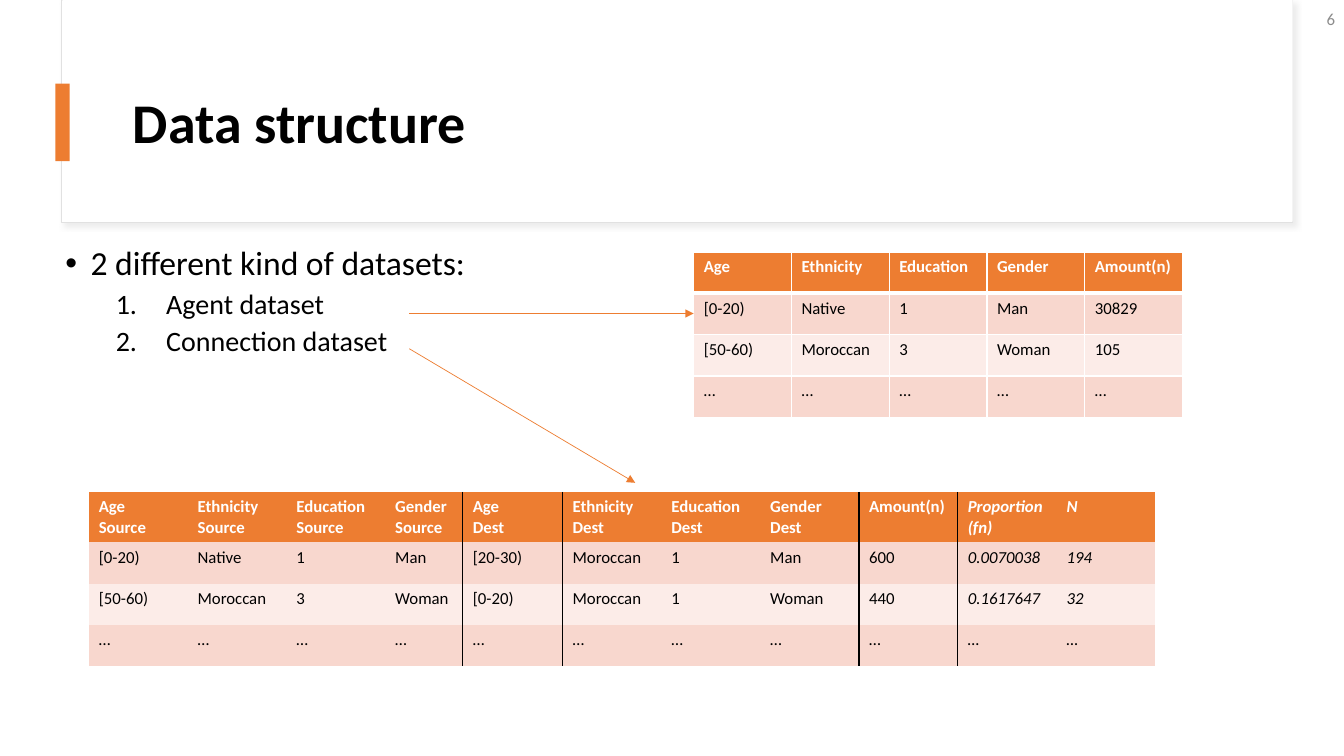
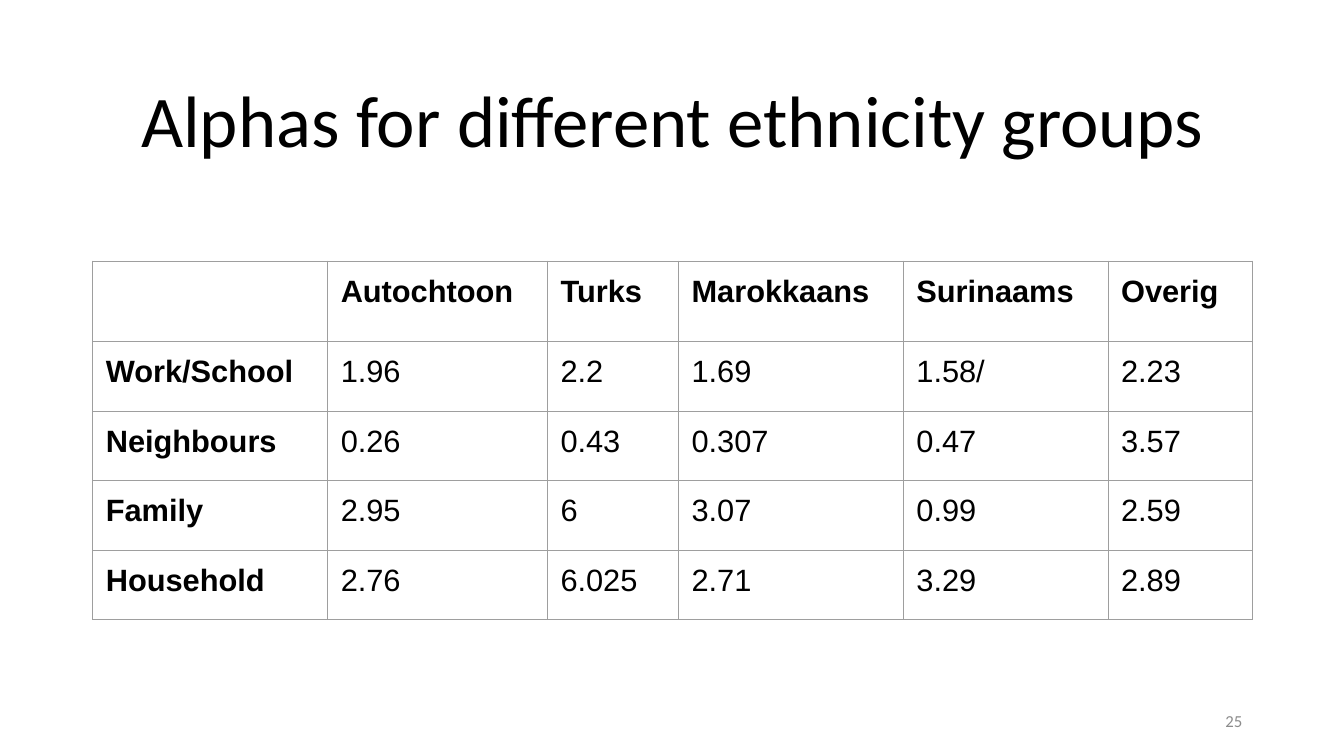
from dataclasses import dataclass

from lxml import etree
from pptx import Presentation
from pptx import util as u
from pptx.dml.color import RGBColor
from pptx.enum import shapes, text
from pptx.oxml import ns

LIST_HEAD = "2 different kind of datasets:"
DATASETS = ["Agent dataset", "Connection dataset"]
AGENTS = [
    ["Age", "Ethnicity", "Education", "Gender", "Amount(n)"],
    ["[0-20)", "Native", "1", "Man", "30829"],
    ["[50-60)", "Moroccan", "3", "Woman", "105"],
    ["…"] * 5,
]
CONNECTIONS = [
    ["Age\nSource", "Ethnicity Source", "Education\nSource", "Gender\nSource",
     "Age\nDest", "Ethnicity Dest", "Education\nDest", "Gender\nDest",
     "Amount(n)", "Proportion(fn)", "N"],
    ["[0-20)", "Native", "1", "Man", "[20-30)", "Moroccan", "1", "Man",
     "600", "0.0070038", "194"],
    ["[50-60)", "Moroccan", "3", "Woman", "[0-20)", "Moroccan", "1", "Woman",
     "440", "0.1617647", "32"],
    ["…"] * 11,
]
ALPHAS = [
    ["", "Autochtoon", "Turks", "Marokkaans", "Surinaams", "Overig"],
    ["Work/School", "1.96", "2.2", "1.69", "1.58/", "2.23"],
    ["Neighbours", "0.26", "0.43", "0.307", "0.47", "3.57"],
    ["Family", "2.95", "6", "3.07", "0.99", "2.59"],
    ["Household", "2.76", "6.025", "2.71", "3.29", "2.89"],
]
GROUP_STARTS = (4, 8)
FIRST_ITALIC = 9


@dataclass(frozen=True)
class Theme:
    accent: str = "ED7D31"
    band: str = "F8D7CE"
    band_light: str = "FCECE8"
    ink: str = "000000"
    paper: str = "FFFFFF"
    grid: str = "9E9E9E"
    card_edge: str = "E1E1E1"
    shadow: str = "D9D9D9"
    muted: str = "8C8C8C"
    font: str = "Calibri"
    table_font: str = "Arial"
    title: int = 40
    big_title: int = 52
    bullet: int = 24
    sub_bullet: int = 20
    alpha: int = 22
    small: int = 12


T = Theme()
NO_STYLE = "{2D5ABB26-0587-4C30-8999-92F81FD0307C}"


def add_xml(parent, tag, **attributes):
    return etree.SubElement(parent, ns.qn(tag), attributes)


def add_color(parent, color):
    fill = add_xml(parent, "a:solidFill")
    return add_xml(fill, "a:srgbClr", val=color)


def set_all(target, **values):
    for name, value in values.items():
        setattr(target, name, value)


def style_run(run, size, color=T.ink, name=T.font, **extra):
    set_all(run.font, size=u.Pt(size), name=name, **extra)
    run.font.color.rgb = RGBColor.from_string(color)


def add_text(slide, box, anchor=text.MSO_ANCHOR.MIDDLE):
    frame = slide.shapes.add_textbox(*map(u.Inches, box)).text_frame
    set_all(frame, word_wrap=True, vertical_anchor=anchor)
    return frame


def add_line(slide, box, content, size, align, spacing=1.0, **style):
    paragraph = add_text(slide, box).paragraphs[0]
    set_all(paragraph, alignment=align, line_spacing=spacing)
    run = paragraph.add_run()
    run.text = content
    style_run(run, size, **style)


def add_title(slide, box, content, size, align, **style):
    add_line(slide, box, content, size, align, 0.9, **style)


def add_page_number(slide, left, top, number):
    add_line(slide, (left, top, 3, 0.4), number, T.small,
             text.PP_ALIGN.RIGHT, color=T.muted)


def add_block(slide, box, fill, edge=None):
    block = slide.shapes.add_shape(shapes.MSO_SHAPE.RECTANGLE, *map(u.Inches, box))
    block.shadow.inherit = False
    block.fill.solid()
    block.fill.fore_color.rgb = RGBColor.from_string(fill)
    if edge:
        block.line.color.rgb = RGBColor.from_string(edge)
        block.line.width = u.Pt(0.75)
    else:
        block.line.fill.background()
    return block


def add_card(slide):
    card = add_block(slide, (0.61, 0, 12.21, 2.21), T.paper, T.card_edge)
    effects = card.element.spPr.find(ns.qn("a:effectLst"))
    shadow = add_xml(effects, "a:outerShdw", blurRad=str(u.Pt(4)),
                     dist=str(u.Pt(3)), dir=str(45 * 60000), rotWithShape="0")
    color = add_xml(shadow, "a:srgbClr", val=T.shadow)
    add_xml(color, "a:alpha", val="50000")
    add_block(slide, (0.62, 0, 12.2, 2.2), T.paper)


def add_arrow(slide, start, end):
    arrow = slide.shapes.add_connector(
        shapes.MSO_CONNECTOR.STRAIGHT, *map(u.Inches, start + end))
    arrow.line.color.rgb = RGBColor.from_string(T.accent)
    arrow.line.width = u.Pt(0.5)
    add_xml(arrow.line._get_or_add_ln(), "a:tailEnd", type="triangle")
    add_xml(arrow.element.spPr, "a:effectLst")


def add_borders(cell, borders):
    properties = cell._tc.get_or_add_tcPr()
    for side in "LRTB":
        if side in borders:
            color, width = borders[side]
            line = add_xml(properties, f"a:ln{side}", w=str(u.Pt(width)))
            add_color(line, color)


def add_grid(slide, left, top, rows, widths, heights, look, margin=None):
    frame = slide.shapes.add_table(
        len(rows), len(widths),
        *map(u.Inches, (left, top, sum(widths), sum(heights))))
    next(frame.element.iter(ns.qn("a:tableStyleId"))).text = NO_STYLE
    for column, width in zip(frame.table.columns, widths):
        column.width = u.Inches(width)
    for r, (row, height) in enumerate(zip(rows, heights)):
        frame.table.rows[r].height = u.Inches(height)
        for c, content in enumerate(row):
            cell = frame.table.cell(r, c)
            fill, borders, style = look(r, c)
            add_borders(cell, borders)
            if fill:
                cell.fill.solid()
                cell.fill.fore_color.rgb = RGBColor.from_string(fill)
            else:
                cell.fill.background()
            if margin:
                for side in ("left", "right", "top", "bottom"):
                    setattr(cell, f"margin_{side}", u.Inches(margin))
            cell.text = content
            for paragraph in cell.text_frame.paragraphs:
                for run in paragraph.runs:
                    style_run(run, **style)


def banded(r):
    fill = T.accent if r == 0 else (T.band if r % 2 else T.band_light)
    style = dict(size=T.small, color=T.ink if r else T.paper, bold=r == 0)
    return fill, style


def agent_look(r, c):
    fill, style = banded(r)
    borders = dict.fromkeys("LRTB", (T.paper, 1))
    if r < 2:
        borders["T" if r else "B"] = (T.paper, 3)
    return fill, borders, style


def connection_look(r, c):
    fill, style = banded(r)
    borders = {}
    if c in GROUP_STARTS:
        borders["L"] = (T.ink, 1)
    if c + 1 in GROUP_STARTS:
        borders["R"] = (T.ink, 1)
    return fill, borders, dict(style, italic=c >= FIRST_ITALIC)


def alpha_look(r, c):
    style = dict(size=T.alpha, name=T.table_font, bold=r == 0 or c == 0)
    return None, dict.fromkeys("LRTB", (T.grid, 0.6)), style


def add_dataset_list(slide):
    frame = add_text(slide, (0.55, 2.4, 11.5, 4.76), text.MSO_ANCHOR.TOP)
    for i, content in enumerate([LIST_HEAD] + DATASETS):
        paragraph = frame.add_paragraph() if i else frame.paragraphs[0]
        set_all(paragraph, level=min(i, 1), line_spacing=0.9,
                space_before=u.Pt(5 if i else 10))
        run = paragraph.add_run()
        run.text = content
        style_run(run, T.sub_bullet if i else T.bullet)
        properties = paragraph._p.get_or_add_pPr()
        properties.set("marL", str(u.Inches(1 if i else 0.25)))
        properties.set("indent", str(u.Inches(-0.5 if i else -0.25)))
        if i:
            add_xml(properties, "a:buFont", typeface="+mj-lt")
            add_xml(properties, "a:buAutoNum", type="arabicPeriod")
        else:
            add_xml(properties, "a:buFont", typeface="Arial")
            add_xml(properties, "a:buChar", char="•")


def build_data_structure(slide):
    agents_left, arrow_left = 6.88, 4.06
    add_card(slide)
    add_title(slide, (1.22, 0.6, 11.12, 1.29), "Data structure", T.title,
              text.PP_ALIGN.LEFT, bold=True)
    add_block(slide, (0.55, 0.83, 0.14, 0.77), T.accent)
    add_dataset_list(slide)
    add_grid(slide, agents_left, 2.5, AGENTS, [0.97] * 5, [0.41] * 4, agent_look)
    add_grid(slide, 0.88, 4.88, CONNECTIONS,
             [0.98] * 3 + [0.77, 0.99] + [0.98] * 6,
             [0.49] + [0.41] * 3, connection_look)
    add_arrow(slide, (arrow_left, 3.11), (agents_left, 3.11))
    add_arrow(slide, (arrow_left, 3.46), (6.3, 4.79))
    add_page_number(slide, 10.34, -0.01, "6")


def build_alphas(slide):
    add_title(slide, (0.92, 0.61, 11.5, 1.24),
              "Alphas for different ethnicity groups", T.big_title,
              text.PP_ALIGN.CENTER)
    add_grid(slide, 0.92, 2.59, ALPHAS, [2.33, 2.18, 1.3, 2.23, 2.03, 1.43],
             [0.8] + [0.69] * 4, alpha_look, 0.13)
    add_page_number(slide, 9.42, 6.95, "25")


def main():
    deck = Presentation()
    set_all(deck, slide_width=u.Inches(13.33), slide_height=u.Inches(7.5))
    for build in (build_data_structure, build_alphas):
        build(deck.slides.add_slide(deck.slide_layouts[6]))
    deck.save("out.pptx")


if __name__ == "__main__":
    main()
